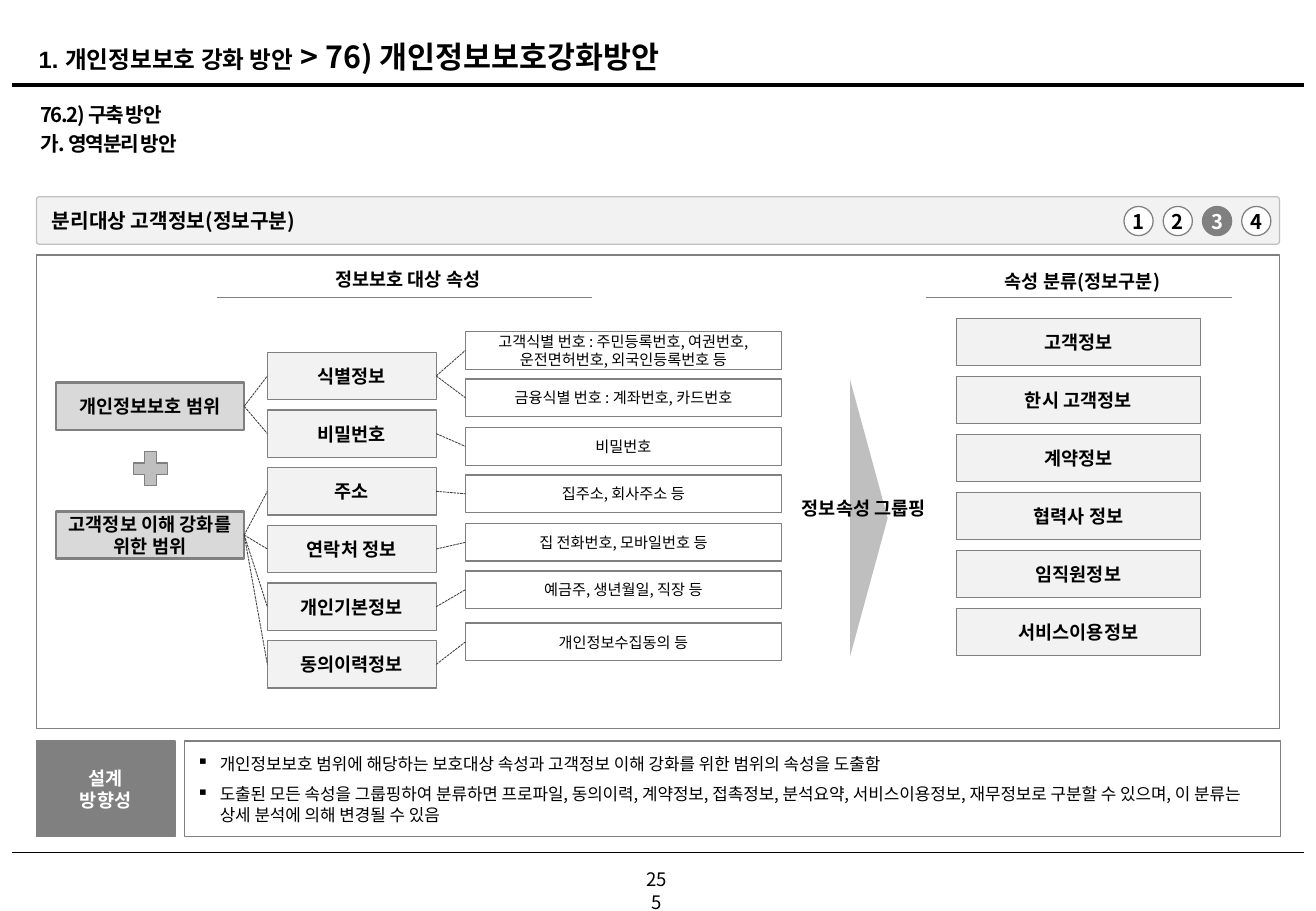
from lxml import etree
from pptx import Presentation
from pptx.dml.color import RGBColor
from pptx.enum import dml, shapes, text
from pptx.oxml import ns
from pptx.util import Inches, Pt

FONT = "Noto Sans CJK KR"
BLACK = RGBColor(0x00, 0x00, 0x00)
WHITE = RGBColor(0xFF, 0xFF, 0xFF)
CHARCOAL = RGBColor(0x40, 0x40, 0x40)
GRAY = RGBColor(0x80, 0x80, 0x80)
SILVER = RGBColor(0xBF, 0xBF, 0xBF)
LIGHT = RGBColor(0xD9, 0xD9, 0xD9)
PALE = RGBColor(0xF2, 0xF2, 0xF2)
LEFT, CENTER = text.PP_ALIGN.LEFT, text.PP_ALIGN.CENTER
TOP, MIDDLE = text.MSO_ANCHOR.TOP, text.MSO_ANCHOR.MIDDLE
KIND = shapes.MSO_SHAPE

TITLE = [("1. ", 14, "Arial"), ("개인정보보호 강화 방안", 14, FONT),
         (" > 76) 개인정보보호강화방안", 18, FONT)]
SUBTITLES = ["76.2) 구축 방안", "가. 영역분리 방안"]
BANNER = "분리대상 고객정보(정보구분)"
STEPS, CURRENT_STEP = ["1", "2", "3", "4"], "3"
# scope: (top, label, attribute indexes)
SCOPES = [(3.15, "개인정보보호 범위", [0, 1]),
          (4.21, "고객정보 이해 강화를 위한 범위", [2, 3, 4, 5])]
# attribute: (label, list of details, each a list of lines)
ATTRIBUTES = [
    ("식별정보", [["고객식별 번호 : 주민등록번호, 여권번호,", "운전면허번호, 외국인등록번호 등"],
              ["금융식별 번호 : 계좌번호, 카드번호"]]),
    ("비밀번호", [["비밀번호"]]),
    ("주소", [["집주소, 회사주소 등"]]),
    ("연락처 정보", [["집 전화번호, 모바일번호 등"]]),
    ("개인기본정보", [["예금주, 생년월일, 직장 등"]]),
    ("동의이력정보", [["개인정보수집동의 등"]]),
]
DETAIL_TOPS = [2.73, 3.12, 3.52, 3.91, 4.31, 4.7, 5.13]
CLASSES = ["고객정보", "한시 고객정보", "계약정보", "협력사 정보", "임직원정보", "서비스이용정보"]
# heading: (label, text left, text top, text width, rule start, rule end)
HEADINGS = [("정보보호 대상 속성", 2.66, 2.16, 1.54, 1.79, 4.87),
            ("속성 분류(정보구분)", 8.17, 2.17, 1.6, 7.62, 10.14)]
DIRECTION = ["설계", "방향성"]
NOTES = [
    "개인정보보호 범위에 해당하는 보호대상 속성과 고객정보 이해 강화를 위한 범위의 속성을 도출함",
    "도출된 모든 속성을 그룹핑하여 분류하면 프로파일, 동의이력, 계약정보, 접촉정보, 분석요약, "
    "서비스이용정보, 재무정보로 구분할 수 있으며, 이 분류는 상세 분석에 의해 변경될 수 있음",
]
BOX_HEIGHT, DETAIL_HEIGHT = 0.39, 0.31

presentation = Presentation()
presentation.slide_width, presentation.slide_height = Inches(10.83), Inches(7.5)
slide = presentation.slides.add_slide(presentation.slide_layouts[6])


def add_run(paragraph, words, size, bold=False, color=BLACK, font=FONT):
    run = paragraph.add_run()
    run.text = words
    run.font.size, run.font.bold, run.font.name = Pt(size), bold, font
    run.font.color.rgb = color
    etree.SubElement(run.font._element, ns.qn("a:ea"), typeface=FONT)
    return run


def write(shape, lines, size, bold=False, color=BLACK, align=CENTER,
          anchor=MIDDLE, insets=(0.1, 0.05), wrap=True):
    """Fill a shape with one paragraph per line and return the paragraphs."""
    frame = shape.text_frame
    frame.word_wrap, frame.vertical_anchor = wrap, anchor
    frame.margin_left = frame.margin_right = Inches(insets[0])
    frame.margin_top = frame.margin_bottom = Inches(insets[1])
    paragraphs = []
    for index, line in enumerate(lines):
        paragraph = frame.add_paragraph() if index else frame.paragraphs[0]
        paragraph.alignment = align
        add_run(paragraph, line, size, bold, color)
        paragraphs.append(paragraph)
    return paragraphs


def add_box(left, top, width, height, fill=None, line=GRAY, weight=0.75, kind=KIND.RECTANGLE):
    shape = slide.shapes.add_shape(kind, Inches(left), Inches(top), Inches(width), Inches(height))
    shape.shadow.inherit = False
    if fill is None:
        shape.fill.background()
    else:
        shape.fill.solid()
        shape.fill.fore_color.rgb = fill
    if line is None:
        shape.line.fill.background()
    else:
        shape.line.color.rgb, shape.line.width = line, Pt(weight)
    return shape


def add_textbox(left, top, width, height):
    return slide.shapes.add_textbox(Inches(left), Inches(top), Inches(width), Inches(height))


def add_line(start, end, y, color, weight):
    connector = slide.shapes.add_connector(
        shapes.MSO_CONNECTOR.STRAIGHT, Inches(start), Inches(y), Inches(end), Inches(y))
    connector.line.color.rgb, connector.line.width = color, Pt(weight)
    etree.SubElement(connector._element.spPr, ns.qn("a:effectLst"))
    return connector


def link(source, target):
    """Join the right side of one box to the left side of another."""
    connector = add_line(0, 0, 0, CHARCOAL, 0.5)
    connector.line.dash_style = dml.MSO_LINE.SQUARE_DOT
    connector.begin_connect(source, 3)
    connector.end_connect(target, 1)


# Page frame
title = add_textbox(0.22, 0.21, 10.39, 0.45)
title_paragraph, = write(title, [], 14) or [title.text_frame.paragraphs[0]]
title_paragraph.line_spacing = 1.2
for words, size, font in TITLE:
    add_run(title_paragraph, words, size, True, font=font)
title_paragraph.alignment = LEFT
add_line(0.1, 10.73, 0.7, BLACK, 2.75)
add_line(0.1, 10.73, 7.02, BLACK, 0.75)
write(add_textbox(5.21, 7.1, 0.39, 0.29), ["255"], 11, anchor=TOP)
subtitles = write(add_textbox(0.29, 0.79, 10.39, 0.68), SUBTITLES, 12, True,
                  align=LEFT, anchor=TOP, insets=(0.04, 0.05))
subtitles[1].space_before = Pt(2.9)
for paragraph in subtitles:
    paragraph.runs[0].font._element.set("spc", "-80")

# Banner with step markers
add_box(0.3, 2.1, 10.23, 3.9)
banner = add_box(0.3, 1.62, 10.23, 0.39, PALE, SILVER, kind=KIND.ROUNDED_RECTANGLE)
banner.adjustments[0] = 0.06
write(banner, [BANNER], 12, True, align=LEFT, insets=(0.12, 0))
for index, step in enumerate(STEPS):
    current = step == CURRENT_STEP
    marker = add_box(9.25 + 0.323 * index, 1.7, 0.24, 0.24, GRAY if current else WHITE, kind=KIND.OVAL)
    write(marker, [step], 12, True, WHITE if current else BLACK, insets=(0, 0))

# Column headings
for label, left, top, width, start, end in HEADINGS:
    write(add_textbox(left, top, width, 0.29), [label], 11, True, align=LEFT, anchor=TOP, wrap=False)
    add_line(start, end, 2.45, GRAY, 1)

# Scopes, attributes and details
attribute_boxes = []
detail_tops = iter(DETAIL_TOPS)
for index, (label, details) in enumerate(ATTRIBUTES):
    attribute_box = add_box(2.2, 2.9 + 0.475 * index, 1.39, BOX_HEIGHT, PALE)
    write(attribute_box, [label], 11, True)
    attribute_boxes.append(attribute_box)
    for lines in details:
        detail_box = add_box(3.83, next(detail_tops), 2.6, DETAIL_HEIGHT)
        write(detail_box, lines, 9, insets=(0, 0.05))
        link(attribute_box, detail_box)
for top, label, members in SCOPES:
    scope_box = add_box(0.46, top, 1.55, BOX_HEIGHT, LIGHT, weight=1.5)
    write(scope_box, [label], 11, True)
    for member in members:
        link(scope_box, attribute_boxes[member])
plus = add_box(1.1, 3.72, 0.28, 0.28, SILVER, kind=KIND.CROSS)
plus.adjustments[0] = 0.33

# Grouping into classes
grouping = add_box(6.01, 4.11, 2.28, 0.31, SILVER, None, kind=KIND.ISOSCELES_TRIANGLE)
grouping.rotation = 90
write(add_textbox(6.44, 4.04, 1.34, 0.29), ["정보속성 그룹핑"], 11, True, anchor=TOP, wrap=False)
for index, label in enumerate(CLASSES):
    write(add_box(7.87, 2.62 + 0.478 * index, 2.01, BOX_HEIGHT, PALE), [label], 11, True)

# Design direction
write(add_box(0.3, 6.1, 1.14, 0.79, GRAY), DIRECTION, 11, True, WHITE, insets=(0.1, 0))
notes = write(add_box(1.52, 6.1, 9.02, 0.79), NOTES, 10, align=LEFT, insets=(0.1, 0))
for paragraph in notes:
    properties = paragraph._element.get_or_add_pPr()
    properties.set("marL", str(Inches(0.19)))
    properties.set("indent", str(-Inches(0.19)))
    etree.SubElement(properties, ns.qn("a:buChar"), char="▪")
notes[1].space_before = Pt(6)

presentation.save("out.pptx")
